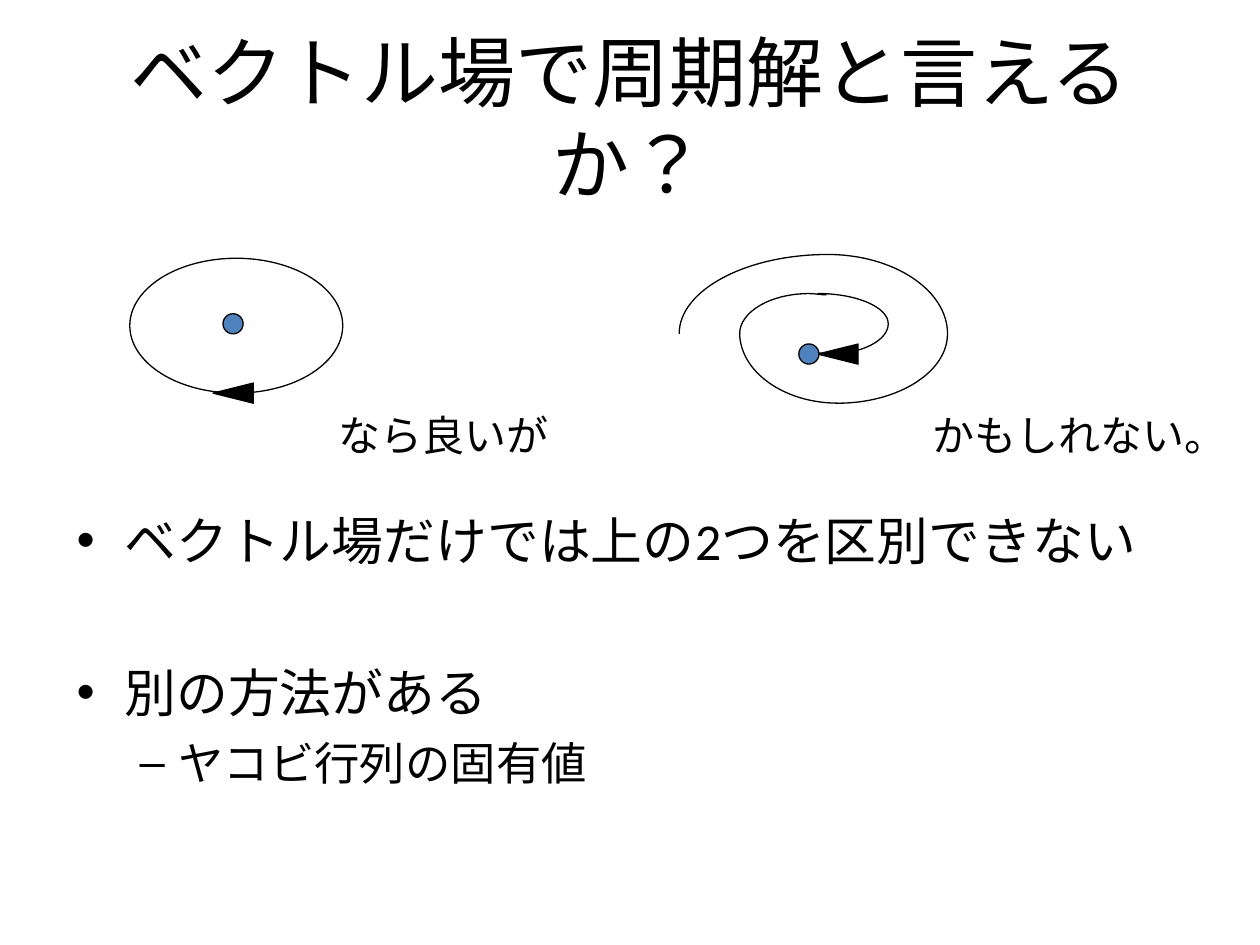
from dataclasses import dataclass

from lxml.etree import SubElement
from pptx import Presentation
from pptx.dml.color import RGBColor
from pptx.enum.lang import MSO_LANGUAGE_ID
from pptx.enum.shapes import MSO_SHAPE
from pptx.enum.text import MSO_ANCHOR, MSO_AUTO_SIZE, PP_ALIGN
from pptx.oxml.ns import qn
from pptx.util import Inches, Pt


@dataclass(frozen=True)
class Theme:
    ink: RGBColor = RGBColor(0x00, 0x00, 0x00)
    point: RGBColor = RGBColor(0x4F, 0x81, 0xBD)
    heading_font: str = "Calibri"
    label_font: str = "Arial"
    title_size: float = 44
    point_size: float = 29.6
    subpoint_size: float = 25.9
    label_size: float = 24
    line_width: float = 0.75


def write(paragraph, text, *, font, size, color, align=PP_ALIGN.LEFT,
          before=0, bullet=None, level=0, margin=0, hanging=0):
    paragraph.level = level
    paragraph.alignment = align
    paragraph.space_before = Pt(before)
    if bullet:
        properties = paragraph._p.get_or_add_pPr()
        properties.set("marL", str(Inches(margin)))
        properties.set("indent", str(-Inches(hanging)))
        SubElement(properties, qn("a:buFont")).set("typeface", "Arial")
        SubElement(properties, qn("a:buChar")).set("char", bullet)
    run = paragraph.add_run()
    run.text = text
    run.font.name = font
    run.font.size = Pt(size)
    run.font.color.rgb = color
    run.font.language_id = MSO_LANGUAGE_ID.JAPANESE


class Board:
    def __init__(self, slide, theme):
        self.slide = slide
        self.theme = theme

    def frame(self, left, top, width, height, wrap=True):
        box = self.slide.shapes.add_textbox(
            Inches(left), Inches(top), Inches(width), Inches(height))
        box.text_frame.word_wrap = wrap
        return box.text_frame

    def title(self, text, *place):
        heading = self.frame(*place)
        heading.vertical_anchor = MSO_ANCHOR.MIDDLE
        heading.margin_left = heading.margin_right = Inches(0.3)
        write(heading.paragraphs[0], text, font=self.theme.heading_font,
              size=self.theme.title_size, color=self.theme.ink,
              align=PP_ALIGN.CENTER)

    def label(self, text, *place):
        caption = self.frame(*place, wrap=False)
        caption.auto_size = MSO_AUTO_SIZE.SHAPE_TO_FIT_TEXT
        write(caption.paragraphs[0], text, font=self.theme.label_font,
              size=self.theme.label_size, color=self.theme.ink)

    def bullets(self, items, *place):
        body = self.frame(*place)
        for index, (text, style) in enumerate(items):
            paragraph = body.add_paragraph() if index else body.paragraphs[0]
            write(paragraph, text, font=self.theme.heading_font,
                  color=self.theme.ink, **style)

    def finish(self, shape, fill=None):
        shape.shadow.inherit = False
        shape.line.color.rgb = self.theme.ink
        shape.line.width = Pt(self.theme.line_width)
        if fill is None:
            shape.fill.background()
        else:
            shape.fill.solid()
            shape.fill.fore_color.rgb = fill

    def ellipse(self, left, top, width, height, fill=None):
        self.finish(self.slide.shapes.add_shape(
            MSO_SHAPE.OVAL, Inches(left), Inches(top),
            Inches(width), Inches(height)), fill)

    def equilibrium(self, left, top):
        self.ellipse(left, top, 0.16, 0.16, self.theme.point)

    def arrowhead(self, left, top):
        head = self.slide.shapes.add_shape(
            MSO_SHAPE.ISOSCELES_TRIANGLE, Inches(left), Inches(top),
            Inches(0.16), Inches(0.32))
        head.rotation = 270
        self.finish(head, self.theme.ink)

    def curve(self, *knots):
        points = [(Inches(x), Inches(y)) for x, y in knots]
        outline = self.slide.shapes.build_freeform(*points[0])
        outline.add_line_segments(points[1:], close=False)
        shape = outline.convert_to_shape()
        segments = list(shape._element.iter(qn("a:lnTo")))
        for first in range(0, len(segments), 3):
            bend = segments[first]
            bend.tag = qn("a:cubicBezTo")
            for segment in segments[first + 1:first + 3]:
                bend.append(segment[0])
                segment.getparent().remove(segment)
        self.finish(shape)


def quarter(start_x, start_y, end_x, end_y, roundness=0.55):
    return [(start_x, start_y),
            (start_x + roundness * (end_x - start_x), start_y),
            (end_x, end_y + roundness * (start_y - end_y)),
            (end_x, end_y)]


def main():
    deck = Presentation()
    deck.slide_width, deck.slide_height = Inches(10), Inches(7.5)
    theme = Theme()
    board = Board(deck.slides.add_slide(deck.slide_layouts[6]), theme)

    board.title("ベクトル場で周期解と言えるか？", 0.5, 0.3, 9, 1.25)

    point = dict(size=theme.point_size, bullet="•", margin=0.38, hanging=0.38)
    subpoint = dict(size=theme.subpoint_size, bullet="–", level=1,
                    margin=0.81, hanging=0.31, before=7)
    board.bullets([
        ("ベクトル場だけでは上の2つを区別できない", point),
        ("別の方法がある", dict(point, before=51)),
        ("ヤコビ行列の固有値", subpoint),
    ], 0.51, 3.99, 9, 2.48)

    board.ellipse(1.03, 2.05, 1.69, 1.07)
    board.arrowhead(1.77, 2.96)
    board.equilibrium(1.77, 2.49)

    inner_left_lead = [(6.56, 2.34), (6.51, 2.34), (6.47, 2.33)]
    inner_end_lead = [(6.48, 2.8), (6.51, 2.8), (6.54, 2.81)]
    spiral = [
        quarter(6.57, 2.02, 5.39, 2.65),
        quarter(6.57, 2.02, 7.52, 2.65),
        quarter(6.65, 3.2, 7.52, 2.65),
        quarter(6.65, 3.2, 5.87, 2.64),
        inner_left_lead + quarter(6.42, 2.33, 5.87, 2.65),
        quarter(6.49, 2.33, 7.05, 2.57),
        inner_end_lead + quarter(6.58, 2.81, 7.05, 2.57),
    ]
    for turn in spiral:
        board.curve(*turn)
    board.arrowhead(6.57, 2.65)
    board.equilibrium(6.34, 2.73)

    board.label("なら良いが", 2.59, 3.2, 1.88, 0.5)
    board.label("かもしれない。", 7.3, 3.2, 2.53, 0.5)

    deck.save("out.pptx")


if __name__ == "__main__":
    main()
